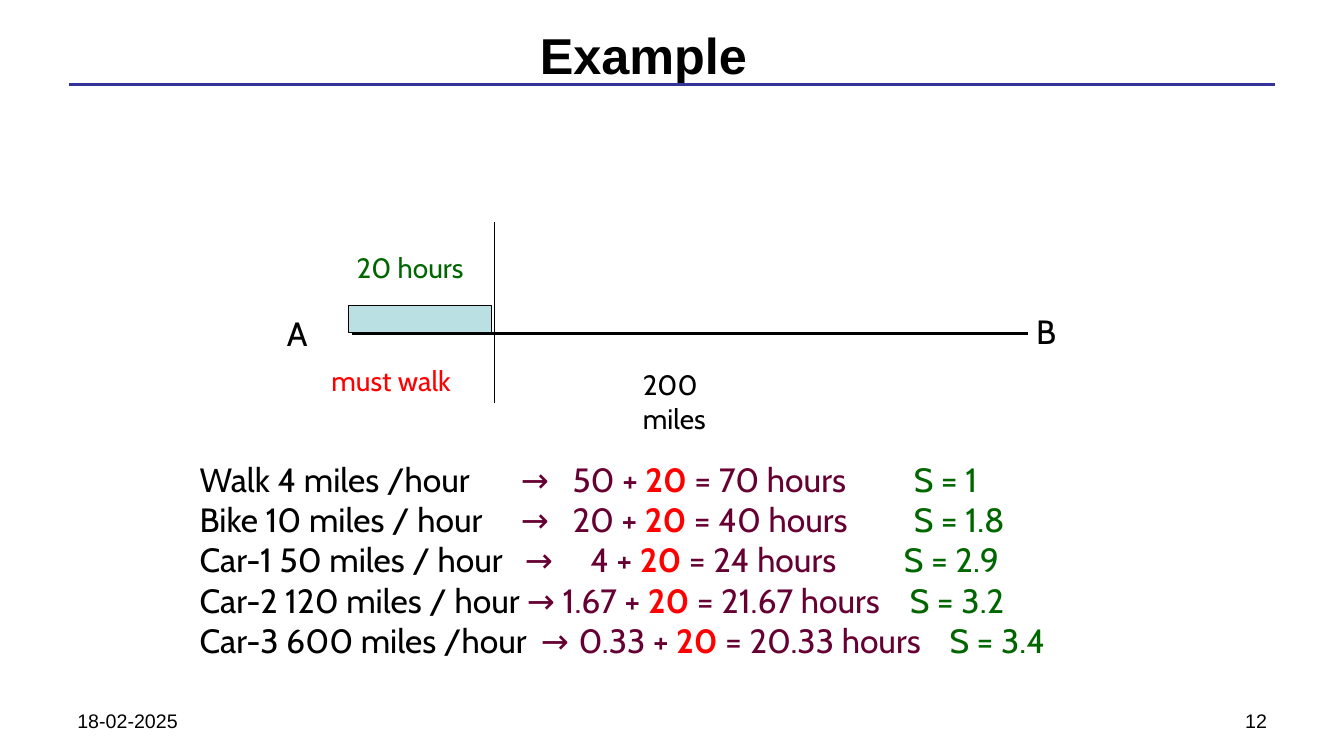
from dataclasses import dataclass

from lxml.etree import SubElement
from pptx import Presentation
from pptx.dml.color import RGBColor
from pptx.enum.shapes import MSO_CONNECTOR as Connector, MSO_SHAPE as Shape
from pptx.enum.text import MSO_ANCHOR as Anchor, MSO_AUTO_SIZE as AutoSize, PP_ALIGN as Align
from pptx.oxml.ns import qn
from pptx.util import Cm, Pt


@dataclass(frozen=True)
class Theme:
    heading_font: str = "Arial"
    body_font: str = "Cabin"
    ink: str = "000000"
    rule: str = "333399"
    walk_fill: str = "BBE0E3"
    fixed: str = "FF0000"
    travel: str = "660033"
    speedup: str = "006600"
    title_size: int = 36
    body_size: int = 24
    label_size: int = 20
    footer_size: int = 14


theme = Theme()

TITLE = "Example"
WALK_HOURS = "20"

# Travel mode, hours on the road, total, speedup, tab stops in cm
TRIPS = [
    ("Walk 4 miles /hour", "50", "70", "1", (8.1, 9.4, 18)),
    ("Bike 10 miles / hour", "20", "40", "1.8", (8.1, 9.4, 18)),
    ("Car-1 50 miles / hour", "4", "24", "2.9", (8.2, 9.85, 17.75)),
    ("Car-2 120 miles / hour", "1.67", "21.67", "3.2", (8.25, 9.15, 17.9)),
    ("Car-3 600 miles /hour", "0.33", "20.33", "3.4", (8.6, 9.55, 18.9)),
]

# Text, left, top, width, height in cm, size, colour, wraps
ROUTE_LABELS = [
    ("20 hours", 8.74, 6.2, 3.23, 1.09, theme.label_size, theme.speedup, False),
    ("200 miles", 15.95, 9.14, 3.4, 1.09, theme.label_size, theme.ink, True),
    ("A", 6.98, 7.77, 1.02, 1.27, theme.body_size, theme.ink, False),
    ("B", 25.86, 7.72, 1.02, 1.27, theme.body_size, theme.ink, False),
    ("must walk", 8.1, 9.04, 3.68, 1.09, theme.label_size, theme.fixed, False),
]

# Text, left in cm, alignment
FOOTERS = [("18-02-2025", 1.7, Align.LEFT), ("12", 24.28, Align.RIGHT)]

# Start x, start y, end x, end y in cm, colour, width in points
LINES = [
    (1.73, 2.13, 32.13, 2.13, theme.rule, 2.25),
    (8.86, 8.41, 25.91, 8.41, theme.ink, 2.25),
    (12.45, 5.59, 12.45, 10.16, theme.ink, 0.75),
]
WALK_BAR = (8.79, 7.7, 3.61, 0.69)
TRIPS_BOX = (4.78, 11.43, 26.09, 5.38)


def add_run(paragraph, text, size, color, font=theme.body_font, bold=False):
    run = paragraph.add_run()
    run.text = text
    run.font.name = font
    run.font.size = Pt(size)
    run.font.bold = bold
    run.font.color.rgb = RGBColor.from_string(color)


def add_text_frame(slide, box, wrap=True):
    frame = slide.shapes.add_textbox(*map(Cm, box)).text_frame
    frame.word_wrap = wrap
    return frame


def add_line(slide, start_x, start_y, end_x, end_y, color, width):
    line = slide.shapes.add_connector(
        Connector.STRAIGHT, Cm(start_x), Cm(start_y), Cm(end_x), Cm(end_y))
    line.line.color.rgb = RGBColor.from_string(color)
    line.line.width = Pt(width)
    SubElement(line._element.spPr, qn("a:effectLst"))


def set_tab_stops(paragraph, stops):
    tabs = SubElement(paragraph._p.get_or_add_pPr(), qn("a:tabLst"))
    for stop in stops:
        SubElement(tabs, qn("a:tab"), pos=str(int(Cm(stop))), algn="l")


def add_title(slide):
    title = slide.shapes.title
    title.left, title.top, title.width, title.height = map(Cm, (10.92, 0.53, 10.59, 1.7))
    frame = title.text_frame
    frame.word_wrap = False
    frame.auto_size = AutoSize.NONE
    frame.vertical_anchor = Anchor.MIDDLE
    heading = frame.paragraphs[0]
    heading.alignment = Align.CENTER
    add_run(heading, TITLE, theme.title_size, theme.ink, theme.heading_font, True)


def add_route(slide):
    for line in LINES:
        add_line(slide, *line)
    walk = slide.shapes.add_shape(Shape.RECTANGLE, *map(Cm, WALK_BAR))
    walk.shadow.inherit = False
    walk.fill.solid()
    walk.fill.fore_color.rgb = RGBColor.from_string(theme.walk_fill)
    walk.line.color.rgb = RGBColor.from_string(theme.ink)
    walk.line.width = Pt(0.75)
    for text, *box, size, color, wrap in ROUTE_LABELS:
        frame = add_text_frame(slide, box, wrap)
        add_run(frame.paragraphs[0], text, size, color)


def add_trips(slide):
    frame = add_text_frame(slide, TRIPS_BOX)
    for index, (mode, road, total, speedup, stops) in enumerate(TRIPS):
        trip = frame.add_paragraph() if index else frame.paragraphs[0]
        set_tab_stops(trip, stops)
        add_run(trip, f"{mode}\t", theme.body_size, theme.ink)
        add_run(trip, f"→\t{road} + ", theme.body_size, theme.travel)
        add_run(trip, WALK_HOURS, theme.body_size, theme.fixed, bold=True)
        add_run(trip, f" = {total} hours\t", theme.body_size, theme.travel)
        add_run(trip, f"S = {speedup}", theme.body_size, theme.speedup)


def add_footers(slide):
    for text, left, alignment in FOOTERS:
        footer = add_text_frame(slide, (left, 17.73, 7.9, 0.94)).paragraphs[0]
        footer.alignment = alignment
        add_run(footer, text, theme.footer_size, theme.ink, theme.heading_font)


def main():
    deck = Presentation()
    deck.slide_width, deck.slide_height = Cm(33.87), Cm(19.05)
    slide = deck.slides.add_slide(deck.slide_layouts.get_by_name("Title Only"))
    add_title(slide)
    add_route(slide)
    add_trips(slide)
    add_footers(slide)
    deck.save("out.pptx")


if __name__ == "__main__":
    main()
